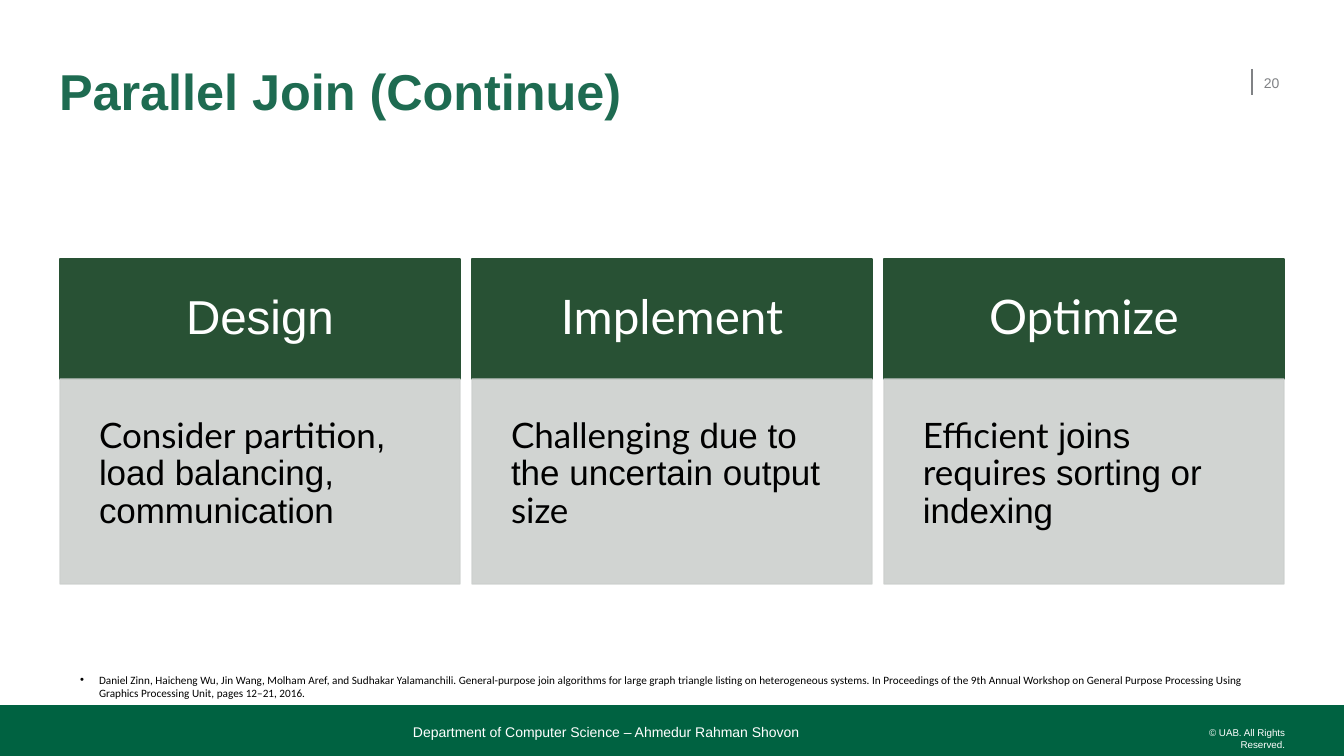
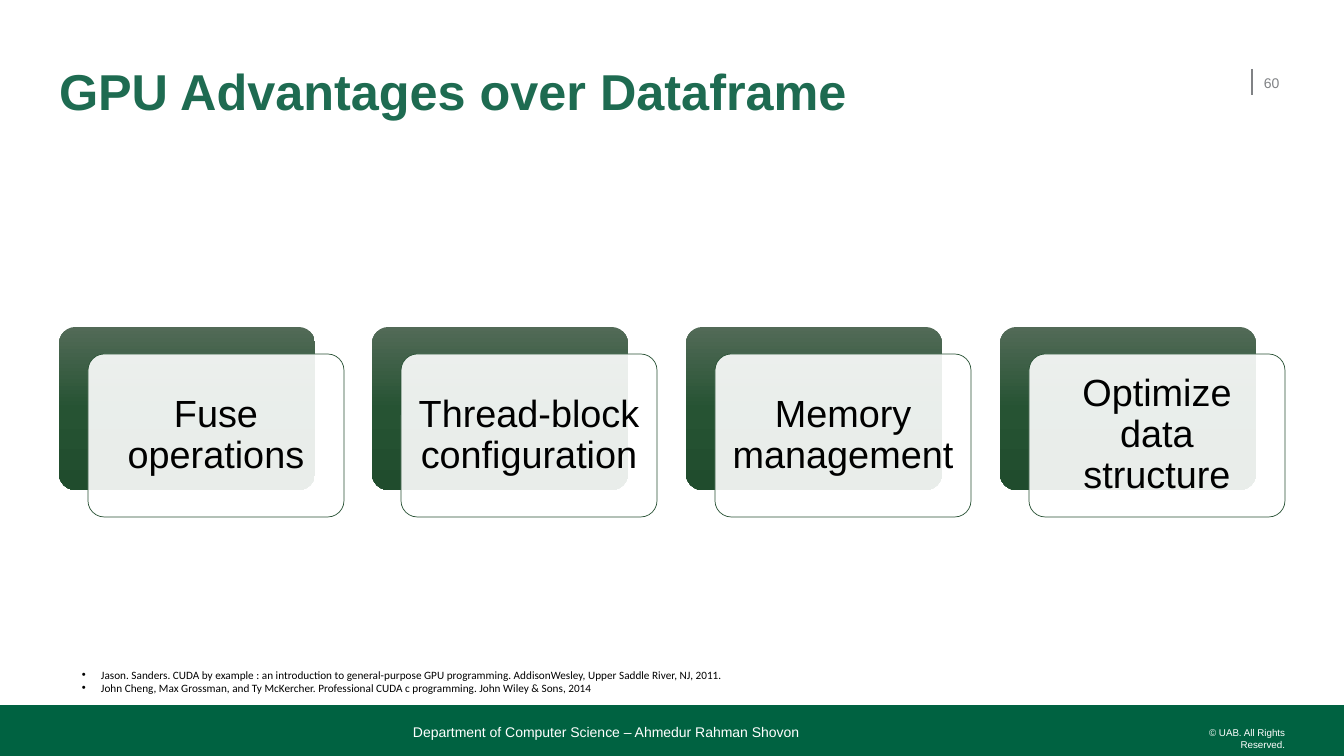
"""Build two lecture slides on parallel joins and GPU advantages."""

from copy import deepcopy
from dataclasses import dataclass

from lxml.etree import SubElement
from pptx import Presentation
from pptx.dml.color import RGBColor
from pptx.enum.shapes import MSO_CONNECTOR, MSO_SHAPE
from pptx.enum.text import MSO_ANCHOR, PP_ALIGN
from pptx.oxml.ns import qn
from pptx.util import Emu, Pt

PAGE_WIDTH, PAGE_HEIGHT = 1344, 756
EMU_PER_PX = 12192000 / PAGE_WIDTH

WHITE = "FFFFFF"
BLACK = "000000"
GREY = "808285"
TITLE_GREEN = "1E6B51"
BAND_GREEN = "006241"
BOX_GREEN = "285134"
PANEL_GREY = "CDD0CE"
CARD_GRADIENT = ((0, "526A57"), (0.5, "265333"), (1, "204C2D"))
FOOTER = "Department of Computer Science – Ahmedur Rahman Shovon"
COPYRIGHT = "© UAB. All Rights Reserved."


@dataclass(frozen=True)
class Area:
    left: int
    top: int
    width: int
    height: int


@dataclass(frozen=True)
class Span:
    text: str
    font: str = "Arial"


@dataclass(frozen=True)
class TextStyle:
    size: int
    color: str
    bold: bool = False
    align: PP_ALIGN = PP_ALIGN.LEFT
    anchor: MSO_ANCHOR = MSO_ANCHOR.TOP
    inset_x: int = 0
    inset_y: int = 0
    line_spacing: float = 1.0
    bullet_indent: int = 0


@dataclass(frozen=True)
class Look:
    fill: str
    line: str = ""
    line_width: float = 1
    fill_opacity: int = 100
    line_opacity: int = 100


@dataclass(frozen=True)
class Column:
    heading: Span
    body: tuple[Span, ...]


TITLE = TextStyle(36, TITLE_GREEN, bold=True, anchor=MSO_ANCHOR.MIDDLE, line_spacing=0.9)
PAGE_NUMBER = TextStyle(10, GREY, anchor=MSO_ANCHOR.MIDDLE, inset_y=5)
FOOTER_TEXT = TextStyle(10, WHITE, anchor=MSO_ANCHOR.BOTTOM)
COPYRIGHT_TEXT = TextStyle(7, WHITE, align=PP_ALIGN.RIGHT)
HEADING = TextStyle(34, WHITE, align=PP_ALIGN.CENTER, anchor=MSO_ANCHOR.MIDDLE,
                    inset_x=31, inset_y=31, line_spacing=0.9)
BODY = TextStyle(25, BLACK, inset_x=39, inset_y=39, line_spacing=0.9)
CARD_TEXT = TextStyle(27, BLACK, align=PP_ALIGN.CENTER, anchor=MSO_ANCHOR.MIDDLE,
                      inset_x=11, inset_y=11, line_spacing=0.9)
REFERENCE = TextStyle(8, BLACK, inset_x=10, inset_y=5, bullet_indent=19)

BAND_LOOK = Look(BAND_GREEN)
HEADING_LOOK = Look(BOX_GREEN, BOX_GREEN)
PANEL_LOOK = Look(PANEL_GREY, PANEL_GREY, fill_opacity=90, line_opacity=90)
CARD_LOOK = Look(WHITE, BOX_GREEN, line_width=0.5, fill_opacity=90)

COLUMNS = (
    Column(Span("Design"),
           (Span("Consider partition", "Lato"),
            Span(", load balancing, communication"))),
    Column(Span("Implement", "Lato"),
           (Span("Challenging", "Lato"),
            Span(" due to the uncertain output "),
            Span("size", "Lato"))),
    Column(Span("Optimize", "Lato"),
           (Span("Efficient", "Lato"),
            Span(" joins "),
            Span("requires", "Lato"),
            Span(" sorting or indexing"))),
)
ADVANTAGES = ("Fuse operations", "Thread-block configuration",
              "Memory management", "Optimize data structure")
JOIN_REFERENCES = (
    "Daniel Zinn, Haicheng Wu, Jin Wang, Molham Aref, and Sudhakar Yalamanchili. "
    "General-purpose join algorithms for large graph triangle listing on heterogeneous "
    "systems. In Proceedings of the 9th Annual Workshop on General Purpose Processing "
    "Using Graphics Processing Unit, pages 12–21, 2016.",
)
GPU_REFERENCES = (
    "Jason. Sanders. CUDA by example : an introduction to general-purpose GPU "
    "programming. AddisonWesley, Upper Saddle River, NJ, 2011.",
    "John Cheng, Max Grossman, and Ty McKercher. Professional CUDA c programming. "
    "John Wiley & Sons, 2014",
)


def px(length: int) -> Emu:
    """Turn pixels into EMU."""
    return Emu(round(length * EMU_PER_PX))


def color(value: str) -> RGBColor:
    """Turn a hex string into a colour."""
    return RGBColor.from_string(value)


def placed(area: Area) -> tuple[Emu, Emu, Emu, Emu]:
    """Give the place and size of an area in EMU."""
    return px(area.left), px(area.top), px(area.width), px(area.height)


def add_bullet(para, indent: int) -> None:
    """Give a paragraph a bullet with a hanging indent."""
    properties = para._p.get_or_add_pPr()
    properties.set("marL", str(px(indent)))
    properties.set("indent", str(-px(indent)))
    SubElement(properties, qn("a:buFont")).set("typeface", "Arial")
    SubElement(properties, qn("a:buChar")).set("char", "•")


def write(shape, style: TextStyle, *paragraphs: tuple[Span, ...]) -> None:
    """Write styled paragraphs into a shape or text box."""
    frame = shape.text_frame
    frame.word_wrap = True
    frame.vertical_anchor = style.anchor
    frame.margin_left = frame.margin_right = px(style.inset_x)
    frame.margin_top = frame.margin_bottom = px(style.inset_y)
    for index, spans in enumerate(paragraphs):
        para = frame.add_paragraph() if index else frame.paragraphs[0]
        para.alignment = style.align
        para.line_spacing = style.line_spacing
        if style.bullet_indent:
            add_bullet(para, style.bullet_indent)
        for span in spans:
            run = para.add_run()
            run.text = span.text
            run.font.name = span.font
            run.font.size = Pt(style.size)
            run.font.bold = style.bold
            run.font.color.rgb = color(style.color)


def add_text(page, area: Area, style: TextStyle, *paragraphs: tuple[Span, ...]) -> None:
    """Add a text box."""
    write(page.shapes.add_textbox(*placed(area)), style, *paragraphs)


def set_opacity(parent, percent: int) -> None:
    """Make the solid fill under an element partly transparent."""
    if percent < 100:
        solid = parent.find(qn("a:solidFill"))
        SubElement(solid[0], qn("a:alpha")).set("val", str(percent * 1000))


def add_box(page, area: Area, look: Look, kind: MSO_SHAPE = MSO_SHAPE.RECTANGLE):
    """Add a filled shape."""
    box = page.shapes.add_shape(kind, *placed(area))
    box.shadow.inherit = False
    properties = box._element.spPr
    box.fill.solid()
    box.fill.fore_color.rgb = color(look.fill)
    set_opacity(properties, look.fill_opacity)
    if look.line:
        box.line.color.rgb = color(look.line)
        box.line.width = Pt(look.line_width)
        set_opacity(properties.find(qn("a:ln")), look.line_opacity)
    else:
        box.line.fill.background()
    if kind == MSO_SHAPE.ROUNDED_RECTANGLE:
        box.adjustments[0] = 0.1
    return box


def apply_gradient(box) -> None:
    """Fill a shape with the card gradient, from top to bottom."""
    box.fill.gradient()
    box.fill.gradient_angle = 270
    stop_list = box._element.spPr.find(".//" + qn("a:gsLst"))
    stop_list.append(deepcopy(stop_list[0]))
    for stop, (position, value) in zip(box.fill.gradient_stops, CARD_GRADIENT):
        stop.position = position
        stop.color.rgb = color(value)


def add_page(deck, title: str, number: int):
    """Add a page with the shared title, number and footer band."""
    page = deck.slides.add_slide(deck.slide_layouts[6])
    rule = page.shapes.add_connector(MSO_CONNECTOR.STRAIGHT, px(1252), px(69), px(1252), px(95))
    rule.line.color.rgb = color(GREY)
    rule.line.width = Pt(1)
    SubElement(rule._element.spPr, qn("a:effectLst"))
    add_box(page, Area(0, 705, PAGE_WIDTH, PAGE_HEIGHT - 705), BAND_LOOK)
    add_text(page, Area(1164, 727, 121, 12), COPYRIGHT_TEXT, (Span(COPYRIGHT),))
    add_text(page, Area(59, 52, 1172, 85), TITLE, (Span(title),))
    add_text(page, Area(1264, 63, 33, 40), PAGE_NUMBER, (Span(str(number)),))
    add_text(page, Area(413, 717, 714, 23), FOOTER_TEXT, (Span(FOOTER),))
    return page


def add_references(page, area: Area, references: tuple[str, ...]) -> None:
    """Add the bulleted list of references."""
    add_text(page, area, REFERENCE, *((Span(entry, "Calibri"),) for entry in references))


def add_columns(page) -> None:
    """Add the headed columns side by side."""
    width, gap, top, heading_height = 400, 12, 259, 120
    for index, column in enumerate(COLUMNS):
        left = 60 + index * (width + gap)
        heading = add_box(page, Area(left, top, width, heading_height), HEADING_LOOK)
        write(heading, HEADING, (column.heading,))
        panel = add_box(page, Area(left, top + heading_height, width, 205), PANEL_LOOK)
        write(panel, BODY, column.body)


def add_cards(page) -> None:
    """Add the layered cards in a row of equal gaps."""
    width, height, first, last, top = 256, 163, 59, 1000, 327
    for index, advantage in enumerate(ADVANTAGES):
        left = first + (last - first) * index // (len(ADVANTAGES) - 1)
        back = add_box(page, Area(left, top, width, height),
                       Look(BOX_GREEN), MSO_SHAPE.ROUNDED_RECTANGLE)
        apply_gradient(back)
        front = add_box(page, Area(left + 29, top + 27, width, height),
                        CARD_LOOK, MSO_SHAPE.ROUNDED_RECTANGLE)
        write(front, CARD_TEXT, (Span(advantage),))


def main() -> None:
    """Build and save the deck."""
    deck = Presentation()
    deck.slide_width, deck.slide_height = px(PAGE_WIDTH), px(PAGE_HEIGHT)
    join_page = add_page(deck, "Parallel Join (Continue)", 20)
    add_columns(join_page)
    add_references(join_page, Area(70, 668, 1194, 37), JOIN_REFERENCES)
    gpu_page = add_page(deck, "GPU Advantages over Dataframe", 60)
    add_cards(gpu_page)
    add_references(gpu_page, Area(72, 663, 1117, 37), GPU_REFERENCES)
    deck.save("out.pptx")


if __name__ == "__main__":
    main()
